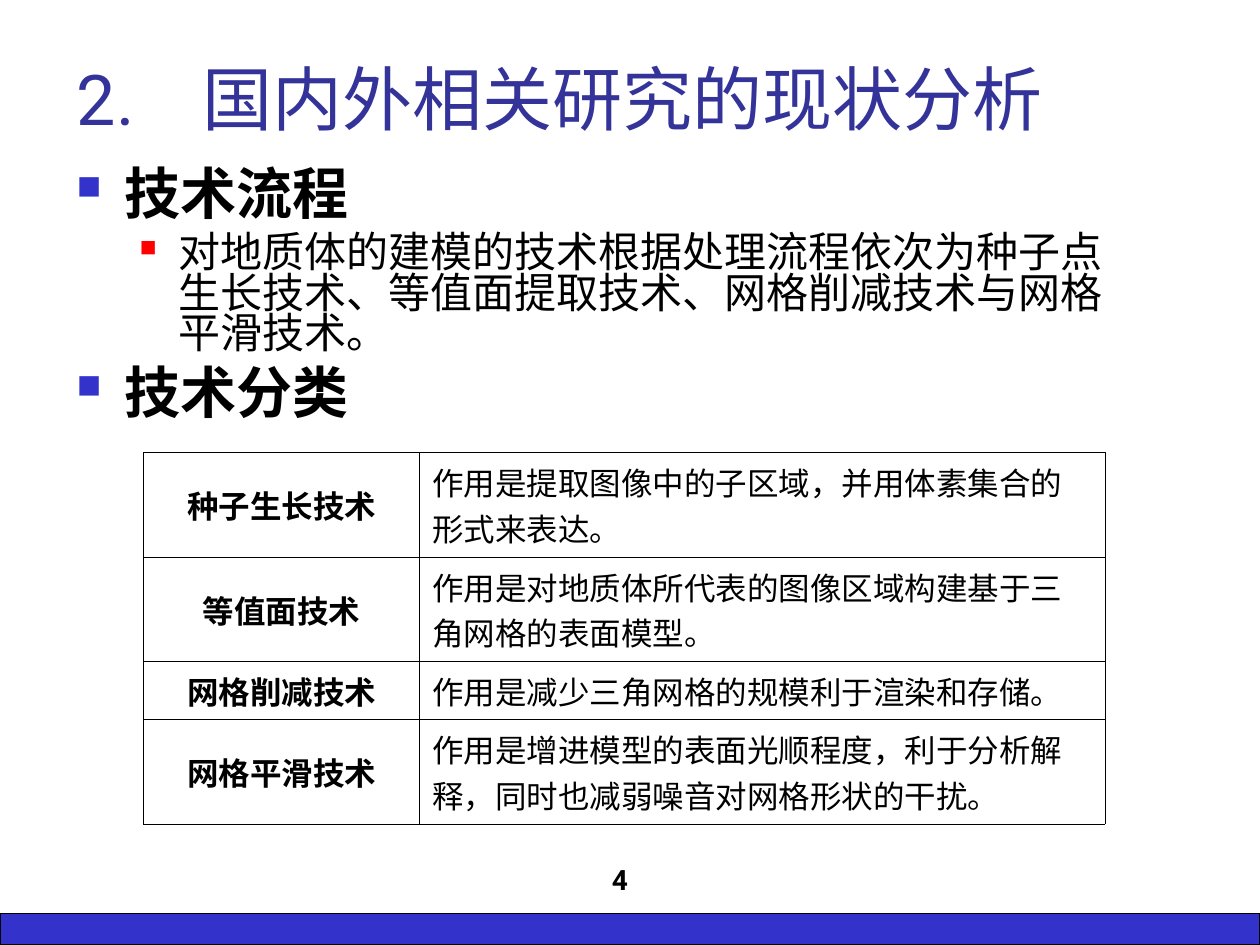
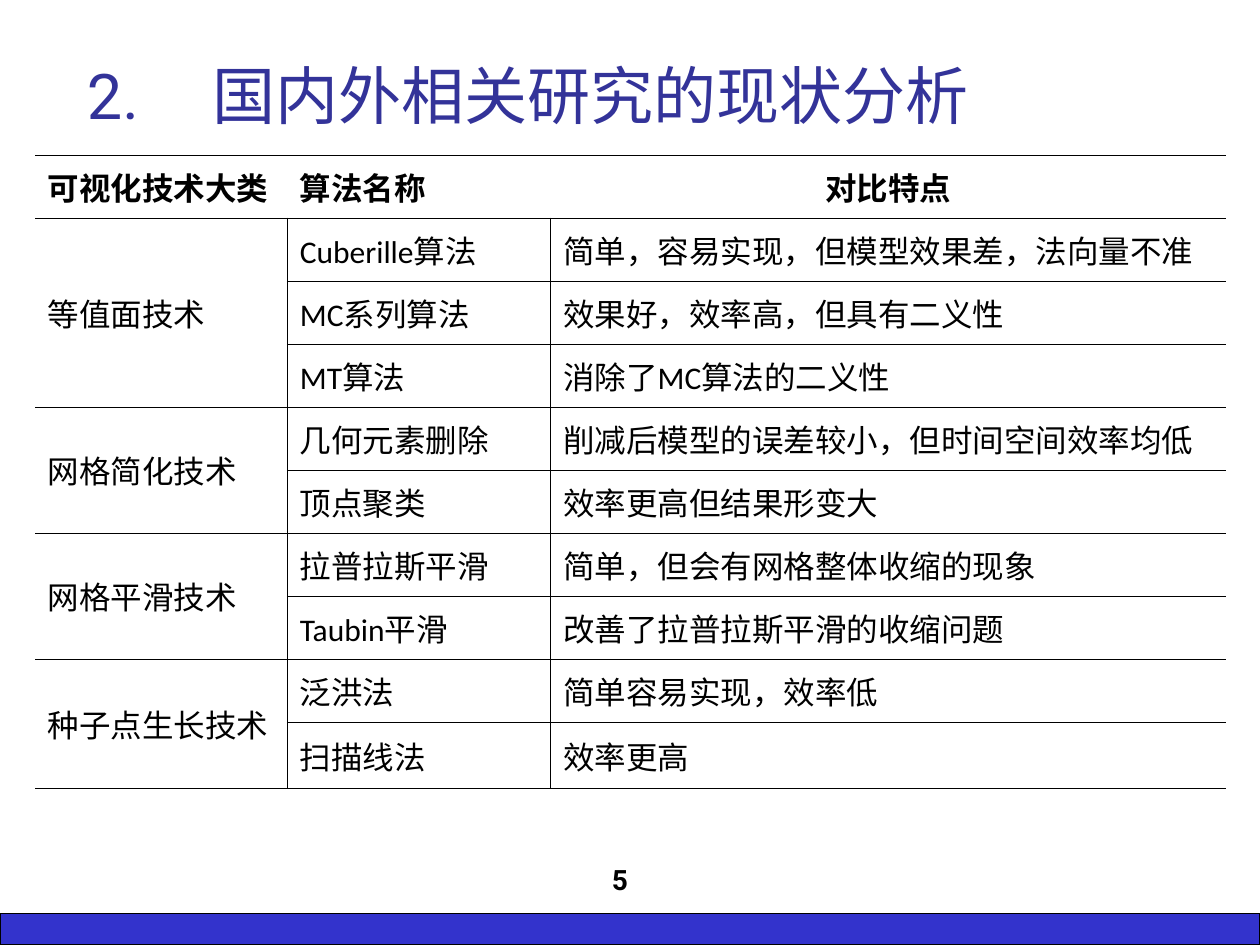
from lxml import etree
from pptx import Presentation
from pptx.dml.color import RGBColor
from pptx.enum.shapes import MSO_SHAPE
from pptx.enum.text import MSO_ANCHOR, MSO_AUTO_SIZE, PP_ALIGN
from pptx.oxml.ns import qn
from pptx.util import Inches, Pt

LEFT, CENTER = PP_ALIGN.LEFT, PP_ALIGN.CENTER
TOP, MIDDLE, BOTTOM = MSO_ANCHOR.TOP, MSO_ANCHOR.MIDDLE, MSO_ANCHOR.BOTTOM
RECT = MSO_SHAPE.RECTANGLE
NO_FIT = MSO_AUTO_SIZE.NONE

W, H = 10, 7.5
BLACK, BLUE, INDIGO, RED = "000000", "3333CC", "333399", "FF0000"
HEAD_FONT, CELL_FONT = "Roboto", "Calibri"
PLAIN_TABLE = "{2D5ABB26-0587-4C30-8999-92F81FD0307C}"
BORDER_PT = 0.45

TITLE = "2.\t国内外相关研究的现状分析"

HEADING = dict(size=32, bold=True, before=8, bullet=(BLUE, 60, 0.38, 0.38))
DETAIL = dict(size=24, before=6, level=1, bullet=(RED, 55, 0.81, 0.31))
OUTLINE = [
    ("技术流程", HEADING),
    ("对地质体的建模的技术根据处理流程依次为种子点生长技术、等值面提取技术、"
     "网格削减技术与网格平滑技术。", DETAIL),
    ("技术分类", HEADING),
]

ROLES = [
    ("种子生长技术", "作用是提取图像中的子区域，并用体素集合的形式来表达。"),
    ("等值面技术", "作用是对地质体所代表的图像区域构建基于三角网格的表面模型。"),
    ("网格削减技术", "作用是减少三角网格的规模利于渲染和存储。"),
    ("网格平滑技术", "作用是增进模型的表面光顺程度，利于分析解释，同时也减弱噪音对网格形状的干扰。"),
]

COMPARISON_HEAD = ("可视化技术大类", "算法名称", "对比特点")
COMPARISON = {
    "等值面技术": [
        ("Cuberille算法", "简单，容易实现，但模型效果差，法向量不准"),
        ("MC系列算法", "效果好，效率高，但具有二义性"),
        ("MT算法", "消除了MC算法的二义性"),
    ],
    "网格简化技术": [
        ("几何元素删除", "削减后模型的误差较小，但时间空间效率均低"),
        ("顶点聚类", "效率更高但结果形变大"),
    ],
    "网格平滑技术": [
        ("拉普拉斯平滑", "简单，但会有网格整体收缩的现象"),
        ("Taubin平滑", "改善了拉普拉斯平滑的收缩问题"),
    ],
    "种子点生长技术": [
        ("泛洪法", "简单容易实现，效率低"),
        ("扫描线法", "效率更高"),
    ],
}


def rgb(color):
    return RGBColor.from_string(color)


def add_xml(parent, tag, **attrs):
    node = etree.SubElement(parent, qn(tag))
    for key, value in attrs.items():
        node.set(key, str(value))
    return node


def write(p, text, size=18, font=HEAD_FONT, color=BLACK, bold=False, align=LEFT,
          before=0, spacing=None, level=0, bullet=None, tab=None):
    p.alignment, p.level = align, level
    p.space_before = Pt(before)
    if spacing:
        p.line_spacing = spacing
    pPr = p._p.get_or_add_pPr()
    if bullet:
        bullet_color, percent, margin, hang = bullet
        pPr.set("marL", str(Inches(margin)))
        pPr.set("indent", str(-Inches(hang)))
        add_xml(add_xml(pPr, "a:buClr"), "a:srgbClr", val=bullet_color)
        add_xml(pPr, "a:buSzPct", val=percent * 1000)
        add_xml(pPr, "a:buChar", char="■")
    if tab:
        add_xml(add_xml(pPr, "a:tabLst"), "a:tab", pos=Inches(tab), algn="l")
    r = p.add_run()
    r.text = text
    r.font.size, r.font.name, r.font.bold = Pt(size), font, bold
    r.font.color.rgb = rgb(color)


def text_box(slide, box, anchor):
    tf = slide.shapes.add_textbox(*map(Inches, box)).text_frame
    tf.word_wrap, tf.vertical_anchor = True, anchor
    return tf


def new_slide(prs, number, title_box, title_size):
    slide = prs.slides.add_slide(prs.slide_layouts[5])
    band = slide.shapes.add_shape(RECT, 0, Inches(H - 0.25), Inches(W), Inches(0.25))
    band.shadow.inherit = False
    band.fill.solid()
    band.fill.fore_color.rgb = rgb(BLUE)
    band.line.color.rgb, band.line.width = rgb(BLACK), Pt(0.75)

    tf = text_box(slide, (3.67, 6.66, 2.5, 0.5), BOTTOM)
    write(tf.paragraphs[0], str(number), size=16, bold=True, align=CENTER)

    title = slide.shapes.title
    title.left, title.top, title.width, title.height = map(Inches, title_box)
    tf = title.text_frame
    tf.auto_size, tf.vertical_anchor = NO_FIT, BOTTOM
    write(tf.paragraphs[0], TITLE, size=title_size, color=INDIGO, tab=1)
    return slide


def add_grid(slide, left, top, widths, heights):
    frame = slide.shapes.add_table(len(heights), len(widths), Inches(left), Inches(top),
                                   Inches(sum(widths)), Inches(sum(heights)))
    table = frame.table
    table.first_row = table.horz_banding = False
    table._tbl.tblPr.find(qn("a:tableStyleId")).text = PLAIN_TABLE
    for column, width in zip(table.columns, widths):
        column.width = Inches(width)
    for row, height in zip(table.rows, heights):
        row.height = Inches(height)
    return table


def set_borders(cell, sides):
    tcPr = cell._tc.get_or_add_tcPr()
    for side in "LRTB":
        ln = add_xml(tcPr, "a:ln" + side, w=Pt(BORDER_PT))
        if side in sides:
            add_xml(add_xml(ln, "a:solidFill"), "a:srgbClr", val=BLACK)
        else:
            add_xml(ln, "a:noFill")
    cell.fill.background()


def fill_cell(cell, text, **fmt):
    cell.vertical_anchor = MIDDLE
    cell.margin_left = cell.margin_right = Inches(0.1)
    cell.margin_top = cell.margin_bottom = Inches(0.05)
    write(cell.text_frame.paragraphs[0], text, font=CELL_FONT, before=4.5, **fmt)


def build_overview(prs):
    slide = new_slide(prs, 4, (0.51, 0.21, 8.11, 0.95), 40)
    tf = text_box(slide, (0.51, 1.31, 8.5, 2.2), TOP)
    for i, (text, fmt) in enumerate(OUTLINE):
        p = tf.add_paragraph() if i else tf.paragraphs[0]
        write(p, text, spacing=0.8, **fmt)

    table = add_grid(slide, 1.14, 3.59, (2.19, 5.44), (0.83, 0.83, 0.46, 0.83))
    for r, (name, role) in enumerate(ROLES):
        fill_cell(table.cell(r, 0), name, bold=True, align=CENTER)
        fill_cell(table.cell(r, 1), role)
    for cell in table.iter_cells():
        set_borders(cell, "LRTB")


def build_comparison(prs):
    slide = new_slide(prs, 5, (0.59, 0.44, 8.52, 0.66), 36)
    count = sum(map(len, COMPARISON.values()))
    table = add_grid(slide, 0.28, 1.23, (2, 2.09, 5.36), [0.5] * count + [0.53])
    for c, text in enumerate(COMPARISON_HEAD):
        fill_cell(table.cell(0, c), text, bold=True, align=CENTER if c == 2 else LEFT)
        set_borders(table.cell(0, c), "TB")

    row = 1
    for category, algorithms in COMPARISON.items():
        first = table.cell(row, 0)
        first.merge(table.cell(row + len(algorithms) - 1, 0))
        fill_cell(first, category)
        for name, feature in algorithms:
            fill_cell(table.cell(row, 1), name)
            fill_cell(table.cell(row, 2), feature)
            set_borders(table.cell(row, 0), "R" if table.cell(row, 0).is_spanned else "RTB")
            set_borders(table.cell(row, 1), "LRTB")
            set_borders(table.cell(row, 2), "LTB")
            row += 1
        set_borders_bottom = table.cell(row - 1, 0)._tc.tcPr.find(qn("a:lnB"))
        set_borders_bottom.clear()
        set_borders_bottom.set("w", str(Pt(BORDER_PT)))
        add_xml(add_xml(set_borders_bottom, "a:solidFill"), "a:srgbClr", val=BLACK)


def main():
    prs = Presentation()
    prs.slide_width, prs.slide_height = Inches(W), Inches(H)
    build_overview(prs)
    build_comparison(prs)
    prs.save("out.pptx")


if __name__ == "__main__":
    main()
